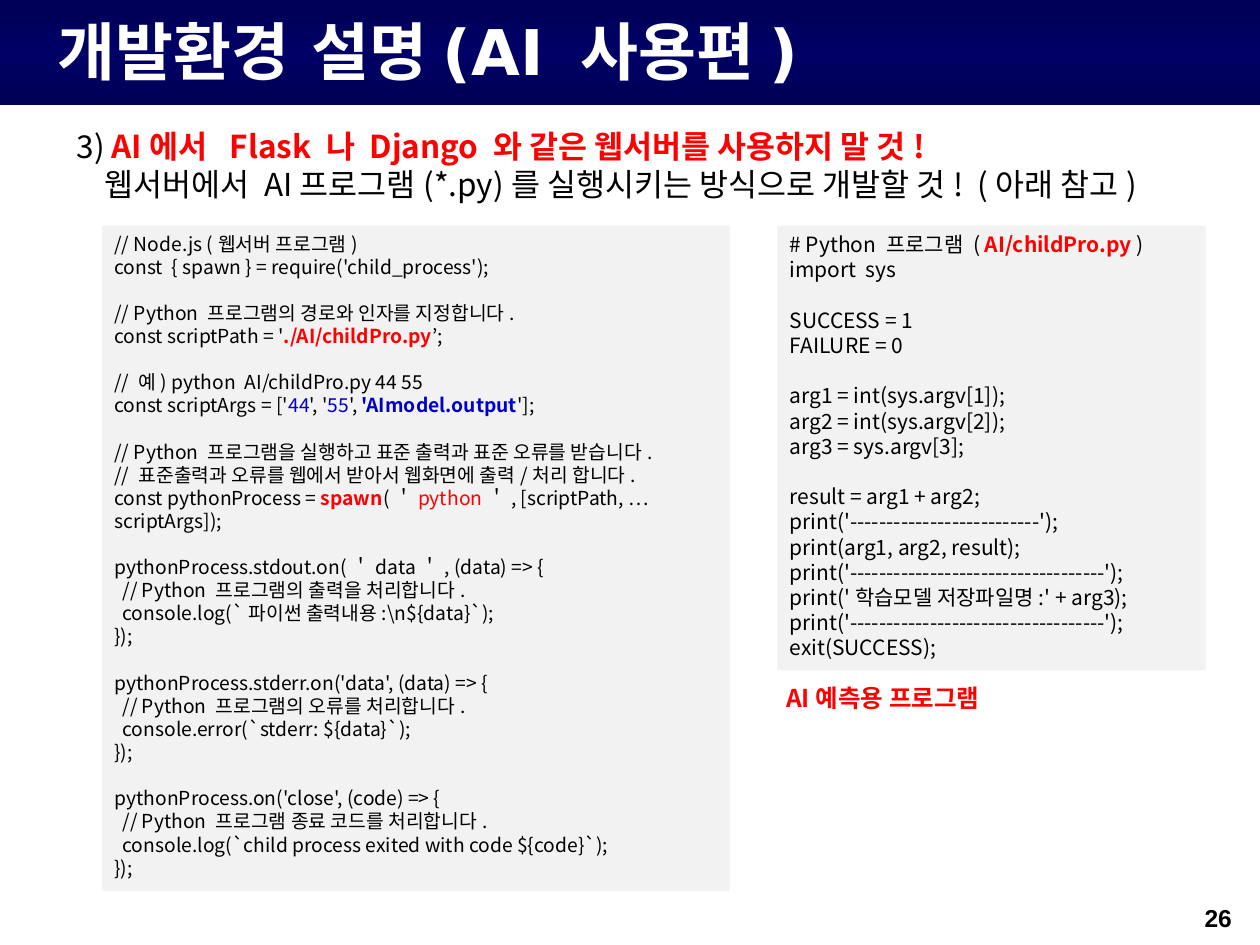
"""Builds the slide on running a Python AI program from a web server."""
from copy import deepcopy

from lxml.etree import SubElement
from pptx import Presentation
from pptx.dml.color import RGBColor
from pptx.enum.shapes import MSO_SHAPE
from pptx.enum.text import MSO_ANCHOR, PP_ALIGN
from pptx.oxml.ns import qn
from pptx.util import Pt

COLORS = {"black": "000000", "white": "FFFFFF", "red": "FF0000", "blue": "0000CC",
          "panel": "F2F2F2", "edge": "000055", "middle": "000066"}
BODY = "Noto Sans CJK KR"
TITLE = "개발환경 설명(AI 사용편)"
NUMBER = "26"
STEP = [
    ["3) ", ("AI에서  Flask 나 Django 와 같은 웹서버를 사용하지 말 것!", "red", True)],
    "웹서버에서 AI프로그램(*.py)를 실행시키는 방식으로 개발할 것!  (아래 참고)",
]
CAPTION = [("AI예측용 프로그램", "red", True)]

NODE_CODE = [
    ["// Node.js (웹서버 프로그램)",
     "const  { spawn } = require('child_process');"],
    ["// Python 프로그램의 경로와 인자를 지정합니다.",
     ["const scriptPath = '", ("./AI/childPro.py", "red", True), "’;"]],
    ["// 예) python  AI/childPro.py 44 55",
     ["const scriptArgs = ['", ("44", "blue", False), "', '", ("55", "blue", False), "', ",
      ("'AImodel.output", "blue", True), "'];"]],
    ["// Python 프로그램을 실행하고 표준 출력과 표준 오류를 받습니다.",
     "// 표준출력과 오류를 웹에서 받아서 웹화면에 출력/처리 합니다.",
     ["const pythonProcess = ", ("spawn", "red", True), "(＇", ("python", "red", False),
      "＇, [scriptPath, …scriptArgs]);"]],
    ["pythonProcess.stdout.on(＇data＇, (data) => {",
     "\t// Python 프로그램의 출력을 처리합니다.",
     "\tconsole.log(`파이썬 출력내용:\\n${data}`);",
     "});"],
    ["pythonProcess.stderr.on('data', (data) => {",
     "\t// Python 프로그램의 오류를 처리합니다.",
     "\tconsole.error(`stderr: ${data}`);",
     "});"],
    ["pythonProcess.on('close', (code) => {",
     "\t// Python 프로그램 종료 코드를 처리합니다.",
     "\tconsole.log(`child process exited with code ${code}`);",
     "});"],
]
SHORT_RULE, LONG_RULE = (f"print('{'-' * n}');" for n in (26, 35))
PYTHON_CODE = [
    [["# Python 프로그램 ( ", ("AI/childPro.py ", "red", True), ")"], "import  sys"],
    ["SUCCESS = 1", "FAILURE = 0"],
    ["arg1 = int(sys.argv[1]);", "arg2 = int(sys.argv[2]);", "arg3 = sys.argv[3];"],
    ["result = arg1 + arg2;", SHORT_RULE, "print(arg1, arg2, result);", LONG_RULE,
     "print('학습모델 저장파일명:' + arg3);", LONG_RULE, "exit(SUCCESS);"],
]
PANELS = [(NODE_CODE, 11, (58.3, 128.9, 358.6, 380.2)),
          (PYTHON_CODE, 12, (444.2, 128.9, 244.8, 254.2))]


def rgb(name):
    return RGBColor.from_string(COLORS[name])


def set_font(p, size, face=BODY, color="black", bold=False):
    f = p.font
    f.size, f.name, f.bold = Pt(size), face, bold
    f.color.rgb = rgb(color)
    props = p._p.get_or_add_pPr().get_or_add_defRPr()
    SubElement(props, qn("a:ea")).set("typeface", face)


def add_line(tf, line, size, first, indent=0):
    p = tf.paragraphs[0] if first else tf.add_paragraph()
    p.alignment, p.line_spacing = PP_ALIGN.LEFT, Pt(size * 1.2)
    set_font(p, size)
    if indent:
        p._p.get_or_add_pPr().set("marL", str(Pt(indent)))
    for part in [line] if isinstance(line, str) else line:
        text, color, bold = (part, None, None) if isinstance(part, str) else part
        r = p.add_run()
        r.text = text
        if color:
            r.font.color.rgb, r.font.bold = rgb(color), bold
    return p


def add_box(s, x, y, w, h):
    tf = s.shapes.add_textbox(Pt(x), Pt(y), Pt(w), Pt(h)).text_frame
    tf.word_wrap = True
    return tf


def add_rect(s, x, y, w, h):
    sp = s.shapes.add_shape(MSO_SHAPE.RECTANGLE, Pt(x), Pt(y), Pt(w), Pt(h))
    sp.shadow.inherit = False
    sp.line.fill.background()
    return sp


def add_banner(s):
    sp = add_rect(s, 0, 0, 720, 60)
    sp.fill.gradient()
    sp.fill.gradient_angle = 90
    stops = sp.fill.gradient_stops
    stops[0]._gs.addnext(deepcopy(stops[0]._gs))
    for stop, color, pos in zip(sp.fill.gradient_stops, ("edge", "middle", "edge"), (0, 0.5, 1)):
        stop.color.rgb, stop.position = rgb(color), pos
    s.shapes._spTree.insert(2, sp._element)


def add_title(s):
    sp = s.shapes.title
    sp.left, sp.top, sp.width, sp.height = Pt(25.9), Pt(3.6), Pt(690), Pt(60)
    tf = sp.text_frame
    tf.text, tf.vertical_anchor = TITLE, MSO_ANCHOR.TOP
    p = tf.paragraphs[0]
    p.alignment = PP_ALIGN.LEFT
    set_font(p, 36, "DejaVu Sans", "white", True)


def add_code(s, groups, size, place):
    sp = add_rect(s, *place)
    sp.fill.solid()
    sp.fill.fore_color.rgb = rgb("panel")
    tf = sp.text_frame
    tf.word_wrap, tf.vertical_anchor = True, MSO_ANCHOR.TOP
    for g, group in enumerate(groups):
        for i, line in enumerate(group):
            nested = isinstance(line, str) and line.startswith("\t")
            text = line.strip() if nested else line
            p = add_line(tf, text, size, g == i == 0, 4.6 if nested else 0)
            if g and i == 0:
                p.space_before = Pt(size * 1.2)


def main():
    prs = Presentation()
    prs.slide_width, prs.slide_height = Pt(720), Pt(540)
    s = prs.slides.add_slide(prs.slide_layouts[5])
    add_banner(s)
    add_title(s)
    tf = add_box(s, 36.7, 69.1, 657.4, 51.1)
    for i, line in enumerate(STEP):
        add_line(tf, line, 18, i == 0, 16 * i)
    for groups, size, place in PANELS:
        add_code(s, groups, size, place)
    add_line(add_box(s, 442.1, 386.6, 178.6, 24.5), CAPTION, 14, True)
    tf = add_box(s, 561, 506.2, 150, 36)
    tf.vertical_anchor = MSO_ANCHOR.MIDDLE
    p = tf.paragraphs[0]
    p.text, p.alignment = NUMBER, PP_ALIGN.RIGHT
    set_font(p, 14, "Arial", bold=True)
    prs.save("out.pptx")


if __name__ == "__main__":
    main()
